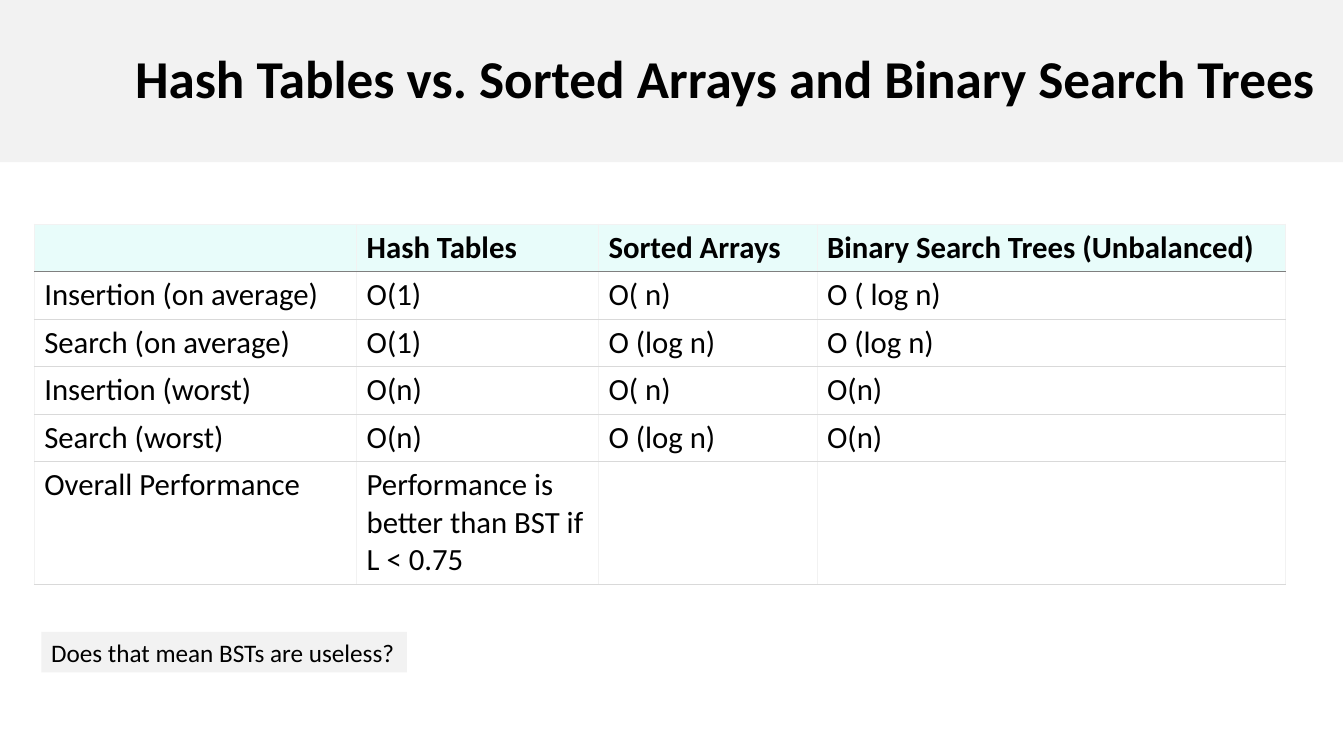
from lxml.etree import SubElement
from pptx import Presentation
from pptx.dml.color import RGBColor
from pptx.enum.text import MSO_ANCHOR, MSO_AUTO_SIZE, PP_ALIGN
from pptx.oxml.ns import qn
from pptx.util import Inches, Pt

FONT = "Calibri"
BLACK = RGBColor(0x00, 0x00, 0x00)
WHITE = RGBColor(0xFF, 0xFF, 0xFF)
PALE_GREY = RGBColor(0xF2, 0xF2, 0xF2)
RULE_GREY = RGBColor(0xD9, 0xD9, 0xD9)
HEADER_RULE = RGBColor(0x7F, 0x7F, 0x7F)
HEADER_MINT = RGBColor(0xE8, 0xFC, 0xFA)

COLUMN_WIDTHS = (3.2, 2.4, 2.17, 4.65)
ROW_HEIGHTS = (0.47,) * 5 + (1.2,)
COMPARISON = (
    ("", "Hash Tables", "Sorted Arrays", "Binary Search Trees (Unbalanced)"),
    ("Insertion (on average)", "O(1)", "O( n)", "O ( log n)"),
    ("Search (on average)", "O(1)", "O (log n)", "O (log n)"),
    ("Insertion (worst)", "O(n)", "O( n)", "O(n)"),
    ("Search (worst)", "O(n)", "O (log n)", "O(n)"),
    ("Overall Performance", "Performance is better than BST if L < 0.75", "", ""),
)


def fill_solid(target, color):
    target.fill.solid()
    target.fill.fore_color.rgb = color


def write(paragraph, text, size, bold=False):
    run = paragraph.add_run()
    run.text = text
    run.font.name = FONT
    run.font.size = Pt(size)
    run.font.bold = bold
    run.font.color.rgb = BLACK


def set_borders(cell, top, bottom):
    """Draw hairlines round a cell; must come before its fill is set."""
    properties = cell._tc.get_or_add_tcPr()
    sides = {"a:lnL": PALE_GREY, "a:lnR": PALE_GREY, "a:lnT": top, "a:lnB": bottom}
    for tag, color in sides.items():
        line = SubElement(properties, qn(tag), w=str(Pt(0.45)))
        solid = SubElement(line, qn("a:solidFill"))
        SubElement(solid, qn("a:srgbClr"), val=str(color))


def add_title(slide, text):
    title = slide.shapes.title
    title.left, title.top = 0, 0
    title.width, title.height = Inches(13.33), Inches(1.61)
    fill_solid(title, PALE_GREY)
    frame = title.text_frame
    frame.auto_size = MSO_AUTO_SIZE.NONE
    frame.vertical_anchor = MSO_ANCHOR.MIDDLE
    frame.margin_left = Inches(1.34)
    heading = frame.paragraphs[0]
    heading.alignment = PP_ALIGN.LEFT
    heading.line_spacing = 0.9
    write(heading, text, 38, bold=True)


def add_comparison(slide):
    table = slide.shapes.add_table(
        len(COMPARISON), len(COLUMN_WIDTHS), Inches(0.34), Inches(2.22),
        Inches(sum(COLUMN_WIDTHS)), Inches(sum(ROW_HEIGHTS))).table
    table.horz_banding = False
    for column, width in zip(table.columns, COLUMN_WIDTHS):
        column.width = Inches(width)
    rules = [PALE_GREY, HEADER_RULE] + [RULE_GREY] * (len(COMPARISON) - 1)
    for index, (row, height, entries) in enumerate(
            zip(table.rows, ROW_HEIGHTS, COMPARISON)):
        row.height = Inches(height)
        is_header = index == 0
        for cell, entry in zip(row.cells, entries):
            set_borders(cell, rules[index], rules[index + 1])
            fill_solid(cell, HEADER_MINT if is_header else WHITE)
            if entry:
                write(cell.text_frame.paragraphs[0], entry, 22, bold=is_header)


def add_question(slide, text):
    question = slide.shapes.add_textbox(
        Inches(0.41), Inches(6.27), Inches(3.63), Inches(0.4))
    fill_solid(question, PALE_GREY)
    frame = question.text_frame
    frame.word_wrap = False
    frame.auto_size = MSO_AUTO_SIZE.SHAPE_TO_FIT_TEXT
    write(frame.paragraphs[0], text, 18)


def main():
    deck = Presentation()
    deck.slide_width, deck.slide_height = Inches(13.34), Inches(7.5)
    slide = deck.slides.add_slide(deck.slide_layouts.get_by_name("Title Only"))
    add_title(slide, "Hash Tables vs. Sorted Arrays and Binary Search Trees")
    add_comparison(slide)
    add_question(slide, "Does that mean BSTs are useless?")
    deck.save("out.pptx")


if __name__ == "__main__":
    main()
